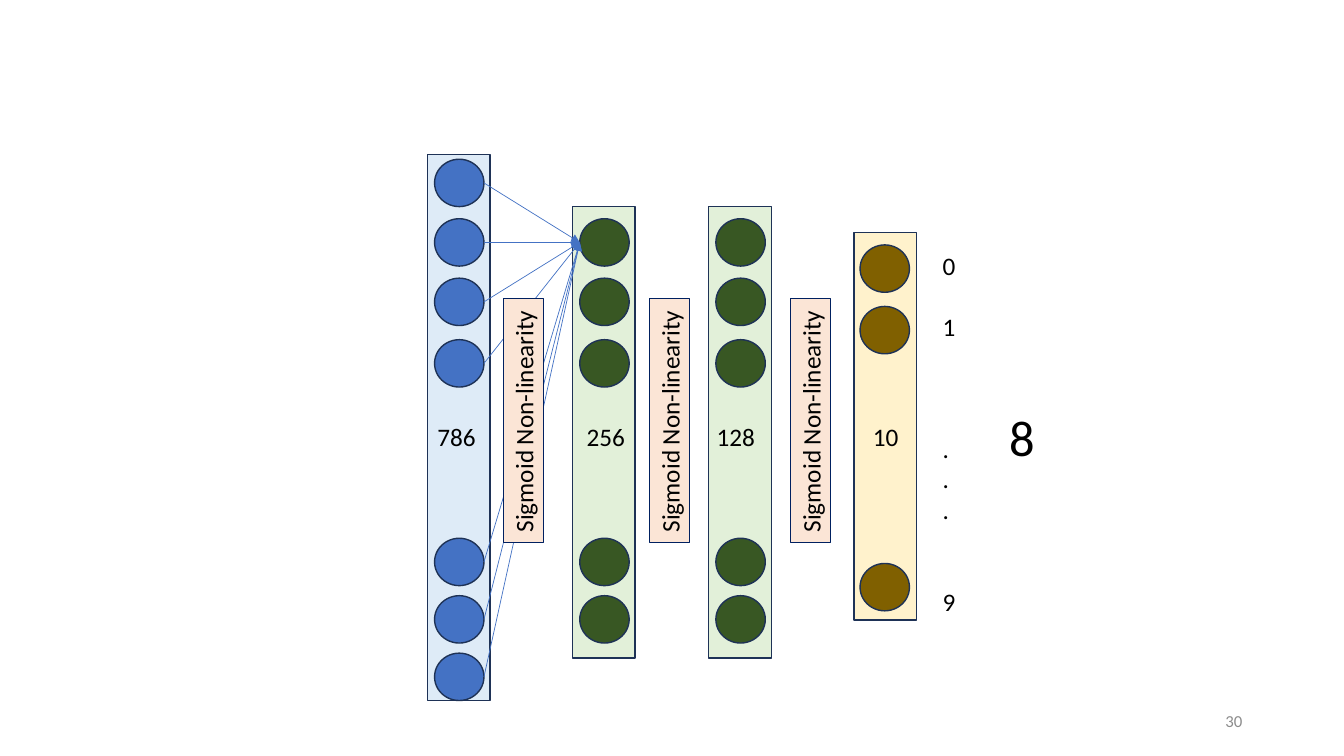
"""Build a slide of a digit-classifying network with sigmoid layers."""
from lxml.etree import SubElement
from pptx import Presentation
from pptx.dml.color import RGBColor
from pptx.enum.shapes import MSO_CONNECTOR, MSO_SHAPE
from pptx.enum.text import MSO_ANCHOR, MSO_AUTO_SIZE, PP_ALIGN
from pptx.oxml.ns import qn
from pptx.util import Inches, Pt

BLACK = RGBColor(0, 0, 0)
GRAY = RGBColor(0x8C, 0x8C, 0x8C)
NAVY = RGBColor(0x1E, 0x32, 0x56)
DARK_BLUE = RGBColor(0x00, 0x20, 0x60)
BLUE = RGBColor(0x44, 0x72, 0xC4)
PALE_BLUE = RGBColor(0xDE, 0xEB, 0xF7)
GREEN = RGBColor(0x38, 0x57, 0x23)
PALE_GREEN = RGBColor(0xE2, 0xF0, 0xD9)
BROWN = RGBColor(0x80, 0x60, 0x00)
PALE_YELLOW = RGBColor(0xFF, 0xF2, 0xCC)
PEACH = RGBColor(0xFB, 0xE5, 0xD6)

NODE_W, NODE_H = 0.49, 0.47
INPUT_X, HIDDEN_X = 4.31, 5.75
HIDDEN_TOPS = [2.17, 2.76, 3.37, 5.34, 5.91]
INPUT_TOPS = [1.58, *HIDDEN_TOPS, 6.48]
OUTPUT_TOPS = [2.43, 3.04, 5.59]

prs = Presentation()
prs.slide_width, prs.slide_height = Inches(13.33), Inches(7.5)
s = prs.slides.add_slide(prs.slide_layouts[6])


def add_shape(kind, box, fill, line, width):
    sp = s.shapes.add_shape(kind, *map(Inches, box))
    sp.shadow.inherit = False
    sp.fill.solid()
    sp.fill.fore_color.rgb = fill
    sp.line.color.rgb = line
    sp.line.width = Pt(width)
    return sp


def set_text(sp, lines, size=18, color=BLACK, align=PP_ALIGN.LEFT, **frame):
    tf = sp.text_frame
    settings = {"word_wrap": False, "auto_size": MSO_AUTO_SIZE.SHAPE_TO_FIT_TEXT,
                "vertical_anchor": MSO_ANCHOR.TOP} | frame
    for name, value in settings.items():
        setattr(tf, name, value)
    for i, (text, space) in enumerate(lines):
        p = tf.add_paragraph() if i else tf.paragraphs[0]
        p.alignment = align
        if space:
            p.space_before = Pt(space)
        r = p.add_run()
        r.text = text
        r.font.name, r.font.size = "Calibri", Pt(size)
        r.font.color.rgb = color


page = s.shapes.add_textbox(*map(Inches, (9.42, 6.95, 3, 0.4)))
set_text(page, [("30", 0)], 12, GRAY, PP_ALIGN.RIGHT, word_wrap=True,
         auto_size=MSO_AUTO_SIZE.NONE, vertical_anchor=MSO_ANCHOR.MIDDLE)

layers = [
    (4.24, 1.53, 5.42, PALE_BLUE, INPUT_X, INPUT_TOPS, BLUE),
    (8.47, 2.31, 3.84, PALE_YELLOW, 8.53, OUTPUT_TOPS, BROWN),
    (5.68, 2.05, 4.48, PALE_GREEN, HIDDEN_X, HIDDEN_TOPS, GREEN),
    (7.03, 2.05, 4.48, PALE_GREEN, 7.1, HIDDEN_TOPS, GREEN),
]
for left, top, height, fill, node_x, node_tops, node_fill in layers:
    add_shape(MSO_SHAPE.RECTANGLE, (left, top, 0.62, height), fill, NAVY, 1)
    for node_top in node_tops:
        add_shape(MSO_SHAPE.OVAL, (node_x, node_top, NODE_W, NODE_H),
                  node_fill, NAVY, 1)

target_y = HIDDEN_TOPS[0] + NODE_H / 2
for node_top in INPUT_TOPS:
    ends = (INPUT_X + NODE_W, node_top + NODE_H / 2, HIDDEN_X, target_y)
    arrow = s.shapes.add_connector(MSO_CONNECTOR.STRAIGHT, *map(Inches, ends))
    arrow.line.color.rgb = BLUE
    arrow.line.width = Pt(0.5)
    SubElement(arrow.line._get_or_add_ln(), qn("a:tailEnd"), type="triangle")
    SubElement(arrow._element.spPr, qn("a:effectLst"))

digits = [("0", 0), ("1", 22), (".", 66), (".", 0), (".", 0), ("9", 44)]
labels = [
    ((9.25, 2.43, 0.33, 3.74), digits, 18),
    ((9.91, 3.98, 0.46, 0.71), [("8", 0)], 36),
    ((4.24, 4.13, 0.59, 0.4), [("786", 0)], 18),
    ((5.72, 4.13, 0.59, 0.4), [("256", 0)], 18),
    ((7.01, 4.13, 0.59, 0.4), [("128", 0)], 18),
    ((8.56, 4.13, 0.46, 0.4), [("10", 0)], 18),
]
for box, lines, size in labels:
    set_text(s.shapes.add_textbox(*map(Inches, box)), lines, size)

for left in (3.98, 5.43, 6.83):
    sigmoid = add_shape(MSO_SHAPE.RECTANGLE, (left, 3.97, 2.42, 0.4),
                        PEACH, DARK_BLUE, 0.75)
    sigmoid.rotation = 270
    set_text(sigmoid, [("Sigmoid Non-linearity", 0)])

prs.save("out.pptx")
